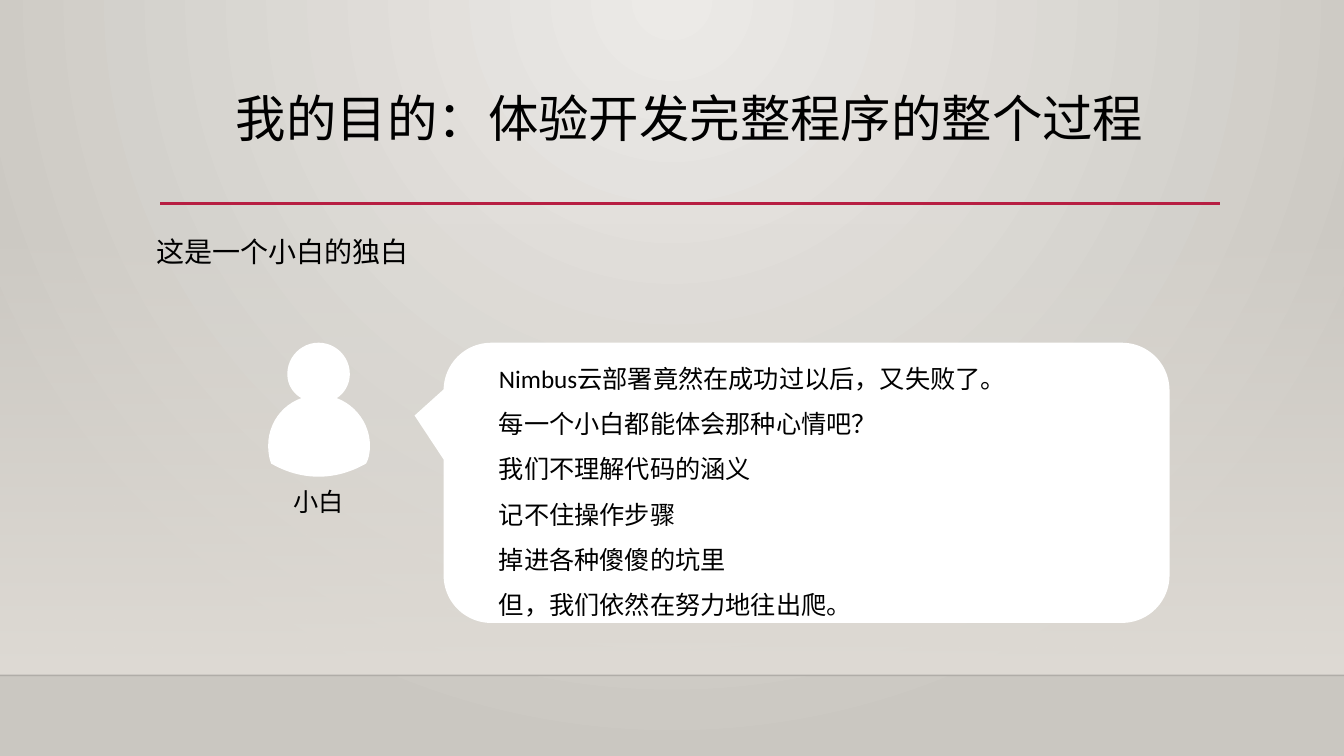
from lxml import etree
from pptx import Presentation
from pptx.dml.color import RGBColor
from pptx.enum.lang import MSO_LANGUAGE_ID as LANG
from pptx.enum.shapes import MSO_CONNECTOR, MSO_SHAPE
from pptx.enum.text import MSO_ANCHOR, PP_ALIGN
from pptx.oxml.ns import qn
from pptx.util import Inches, Pt

# Content
TITLE = "我的目的：体验开发完整程序的整个过程"
INTRO = "这是一个小白的独白"
SPEAKER = "小白"
MONOLOGUE = [
    "Nimbus云部署竟然在成功过以后，又失败了。",
    "每一个小白都能体会那种心情吧？",
    "我们不理解代码的涵义",
    "记不住操作步骤",
    "掉进各种傻傻的坑里",
    "但，我们依然在努力地往出爬。",
]

# Person outline: start point, then Bezier segments (two controls and an end)
PERSON_START = (3.34, 3.95)
PERSON_CURVES = [
    ((3.42, 3.9), (3.47, 3.81), (3.47, 3.71)),
    ((3.47, 3.54), (3.33, 3.4), (3.16, 3.4)),
    ((2.99, 3.4), (2.85, 3.54), (2.85, 3.71)),
    ((2.85, 3.81), (2.9, 3.9), (2.99, 3.95)),
    ((2.79, 4.02), (2.66, 4.21), (2.66, 4.42)),
    ((2.66, 4.48), (2.67, 4.55), (2.69, 4.6)),
    ((2.83, 4.68), (2.99, 4.73), (3.16, 4.73)),
    ((3.33, 4.73), (3.49, 4.68), (3.63, 4.6)),
    ((3.66, 4.55), (3.67, 4.48), (3.67, 4.42)),
    ((3.67, 4.21), (3.53, 4.02), (3.34, 3.95)),
]

# Layout and style
W, H = 13.33, 7.5
FLOOR_Y, RULE_Y = 6.7, 2.02
LEFT, BUBBLE_TOP, BUBBLE_H = 1.59, 3.4, 2.78
LATIN, CJK = "Calibri", "Noto Sans CJK SC"
BLACK = RGBColor(0, 0, 0)
WHITE = RGBColor(255, 255, 255)
RED = RGBColor(0xB7, 0x1E, 0x42)
GLOW = RGBColor(0xEC, 0xEA, 0xE7)
EDGE = RGBColor(0xCA, 0xC7, 0xC1)
WALL = RGBColor(0xDF, 0xDB, 0xD5)


def set_alpha(color_element, percent):
    etree.SubElement(color_element, qn("a:alpha"), val=str(percent * 1000))


def set_gradient(fill, first, last):
    fill.gradient()
    for stop, color, position in zip(fill.gradient_stops, (first, last), (0, 1)):
        stop.color.rgb = color
        stop.position = position


def plain(s, color):
    s.shadow.inherit = False
    s.fill.solid()
    s.fill.fore_color.rgb = color
    s.line.fill.background()


def write(tf, lines, size, font=LATIN, spacing=None, align=PP_ALIGN.LEFT):
    tf.vertical_anchor = MSO_ANCHOR.TOP
    for i, line in enumerate(lines):
        p = tf.paragraphs[0] if i == 0 else tf.add_paragraph()
        p.alignment, p.line_spacing = align, spacing
        p.font.size, p.font.name = Pt(size), font
        p.font.color.rgb = BLACK
        etree.SubElement(p.font._element, qn("a:ea"), typeface=CJK)
        r = p.add_run()
        r.text = line
        r.font.language_id = LANG.SIMPLIFIED_CHINESE


def add_text(x, y, w, h, lines, size, wrap=False, spacing=None):
    tf = shapes.add_textbox(Inches(x), Inches(y), Inches(w), Inches(h)).text_frame
    tf.word_wrap = wrap
    write(tf, lines, size, spacing=spacing)


def add_rule(x1, x2, y, color, width):
    s = shapes.add_connector(MSO_CONNECTOR.STRAIGHT, Inches(x1), Inches(y), Inches(x2), Inches(y))
    s.line.color.rgb, s.line.width = color, Pt(width)
    etree.SubElement(s._element.spPr, qn("a:effectLst"))
    return s


def curve_points(start, curves, steps=12):
    for c1, c2, end in curves:
        for k in range(1, steps + 1):
            t = k / steps
            yield tuple(
                Inches((1 - t) ** 3 * a + 3 * (1 - t) ** 2 * t * b + 3 * (1 - t) * t**2 * c + t**3 * d)
                for a, b, c, d in zip(start, c1, c2, end)
            )
        start = end


prs = Presentation()
prs.slide_width, prs.slide_height = Inches(W), Inches(H)
slide = prs.slides.add_slide(prs.slide_layouts[5])
shapes = slide.shapes

# Background glow from the top centre
bg = slide.background.fill
set_gradient(bg, GLOW, EDGE)
grad = slide._element.find(".//" + qn("a:gradFill"))
grad.remove(grad.find(qn("a:lin")))
glow_path = etree.SubElement(grad, qn("a:path"), {"path": "circle"})
etree.SubElement(glow_path, qn("a:fillToRect"), l="43000", t="0", r="43000", b="100000")

# Wall fading in down to the floor line
wall = shapes.add_shape(MSO_SHAPE.RECTANGLE, 0, Inches(2.21), Inches(W), Inches(FLOOR_Y - 2.21))
plain(wall, WALL)
set_gradient(wall.fill, WALL, WALL)
wall.fill.gradient_angle = 270
set_alpha(wall._element.spPr.find(".//" + qn("a:srgbClr")), 0)
floor = add_rule(0, W, FLOOR_Y, BLACK, 1)
set_alpha(floor._element.spPr.find(".//" + qn("a:srgbClr")), 20)

# Title and its rule
title = shapes.title
title.left, title.top = Inches(LEFT), Inches(0.88)
title.width, title.height = Inches(10.5), Inches(1.15)
write(title.text_frame, [TITLE], 36, CJK, 0.9, PP_ALIGN.CENTER)
add_rule(LEFT, 12.1, RULE_Y, RED, 2.5)
add_text(1.45, 2.28, 2.73, 0.44, [INTRO], 20)

# Speech bubble
bubble = shapes.add_shape(MSO_SHAPE.ROUNDED_RECTANGULAR_CALLOUT, Inches(4.4),
                          Inches(BUBBLE_TOP), Inches(7.2), Inches(BUBBLE_H))
plain(bubble, WHITE)
for i, value in enumerate((-0.54, -0.24, 0.17)):
    bubble.adjustments[i] = value
add_text(4.85, BUBBLE_TOP, 6.67, BUBBLE_H, MONOLOGUE, 18, wrap=True, spacing=1.5)

# Speaker
builder = shapes.build_freeform(*map(Inches, PERSON_START))
builder.add_line_segments(list(curve_points(PERSON_START, PERSON_CURVES)), close=True)
plain(builder.convert_to_shape(), WHITE)
add_text(2.81, 4.78, 0.71, 0.4, [SPEAKER], 18)

prs.save("out.pptx")
